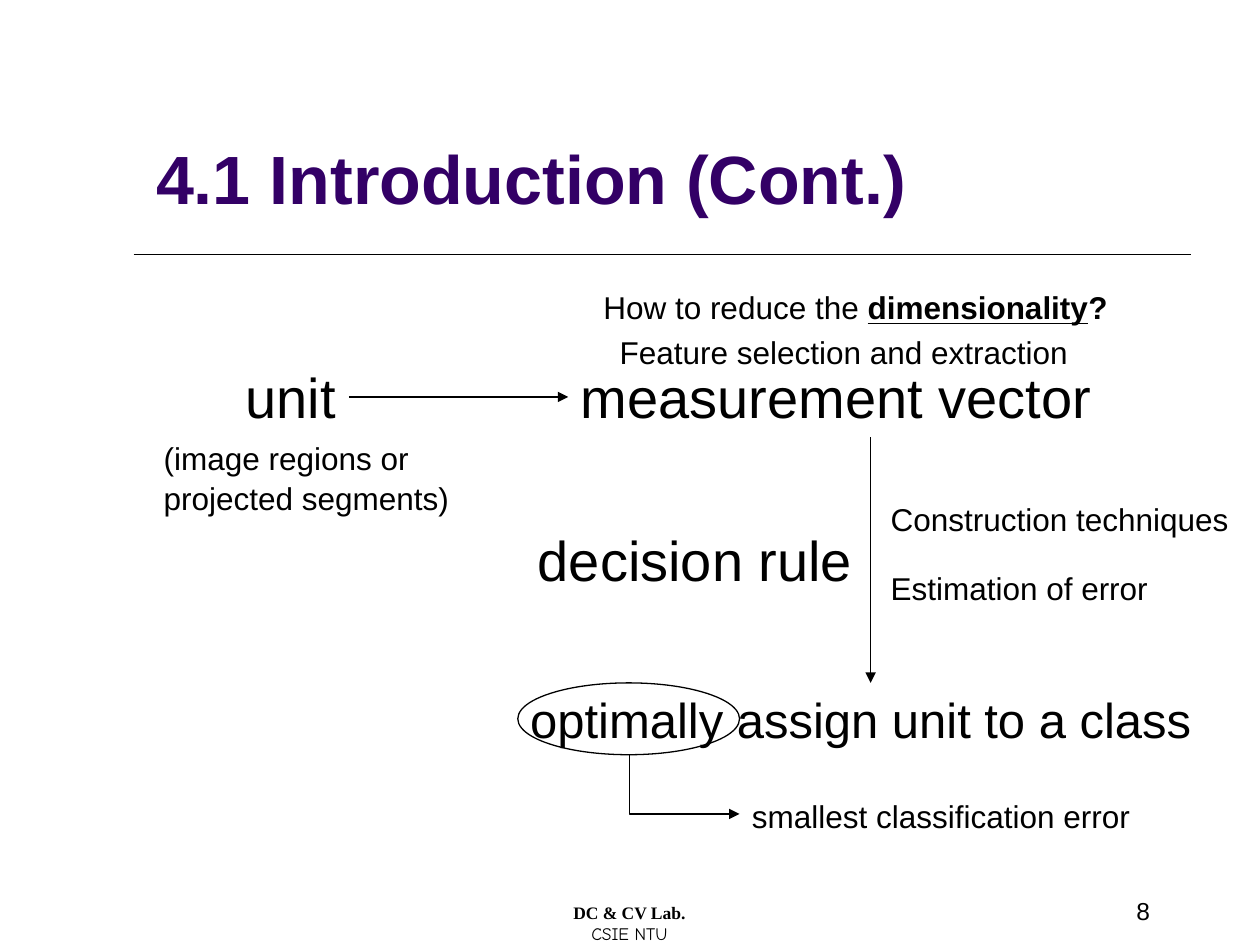
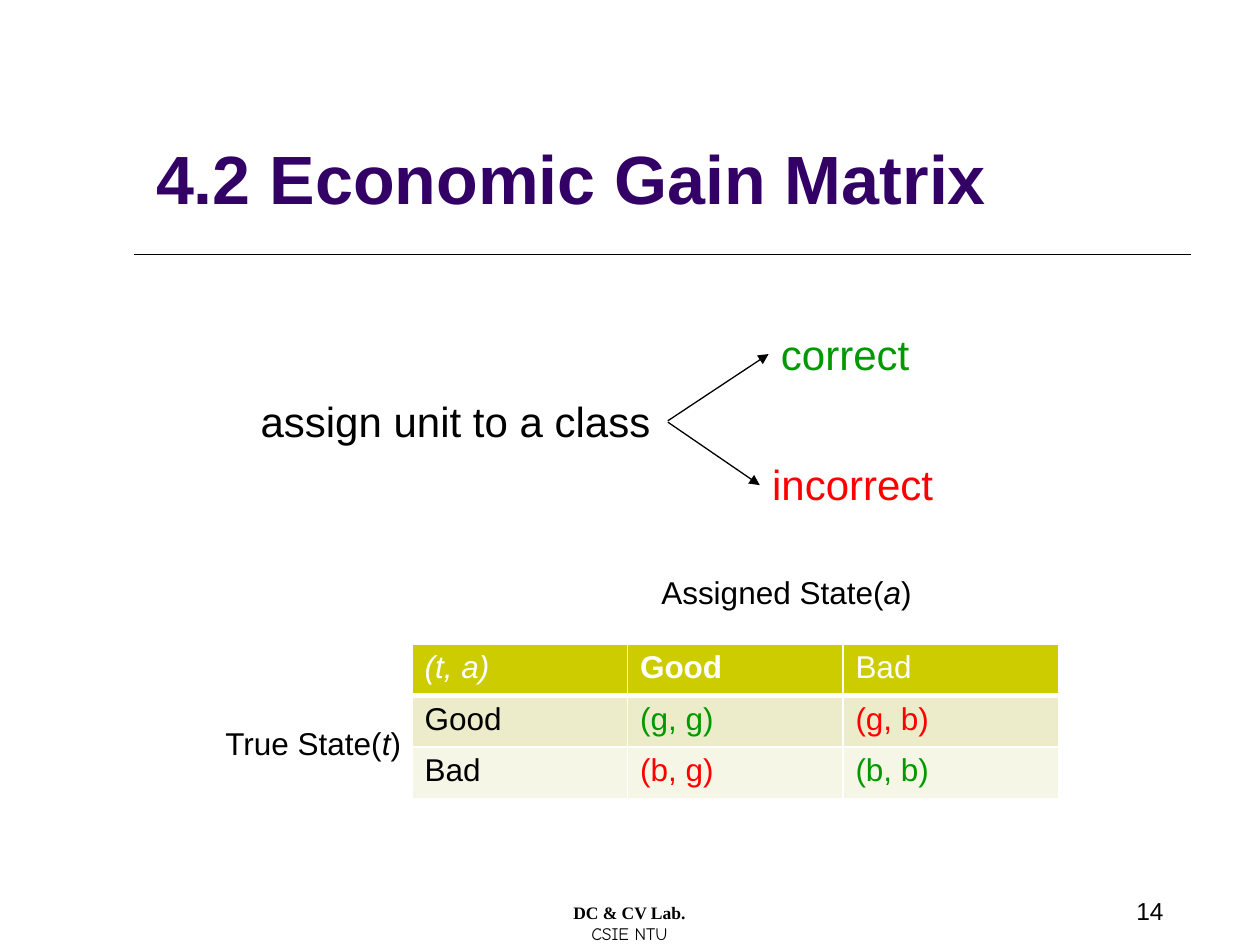
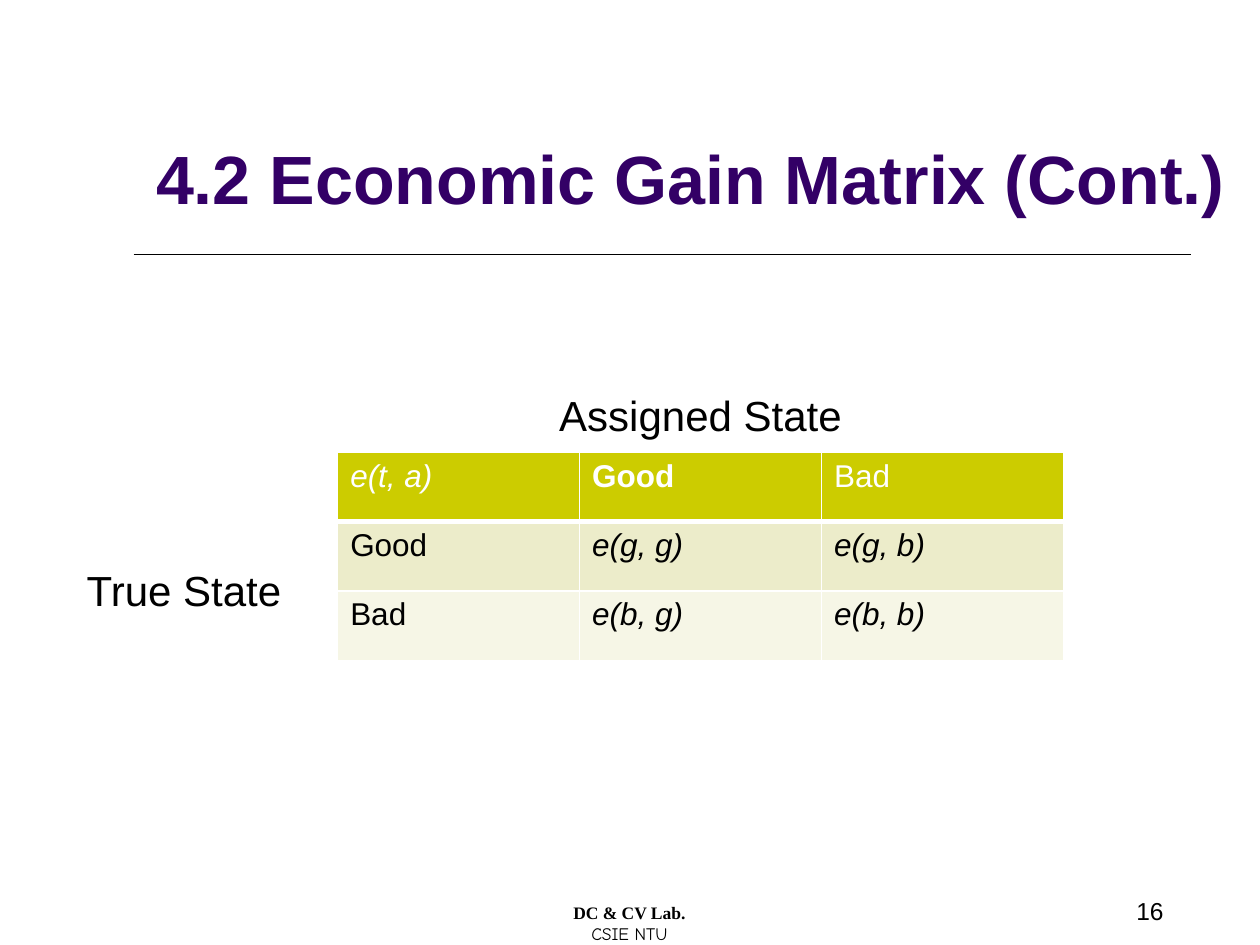
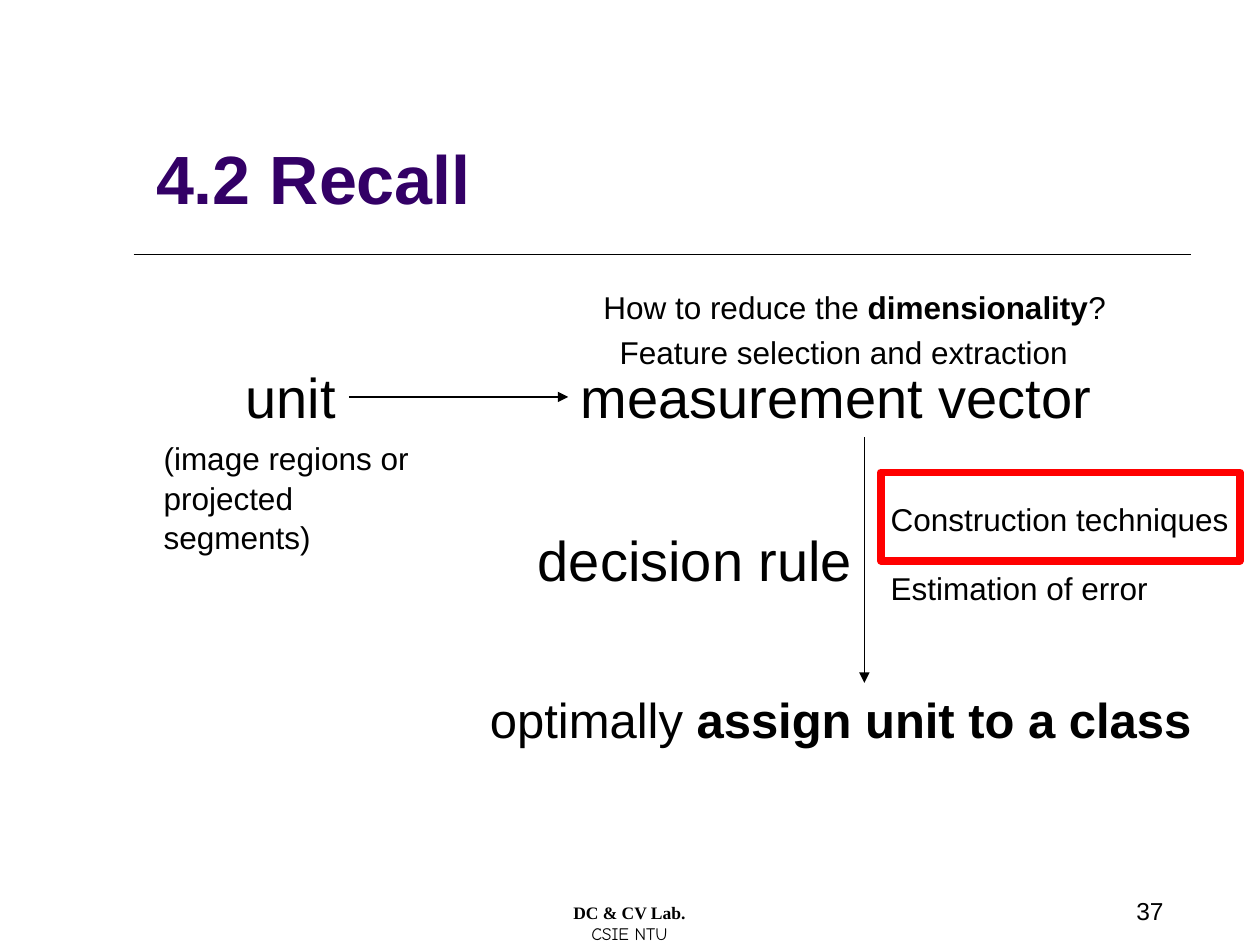
from lxml import etree
from pptx import Presentation
from pptx.dml.color import RGBColor
from pptx.enum.shapes import MSO_CONNECTOR, MSO_SHAPE
from pptx.enum.text import MSO_ANCHOR, MSO_AUTO_SIZE, PP_ALIGN
from pptx.oxml.ns import qn
from pptx.util import Inches, Pt

STRAIGHT, ELBOW = MSO_CONNECTOR.STRAIGHT, MSO_CONNECTOR.ELBOW
OVAL, RECTANGLE = MSO_SHAPE.OVAL, MSO_SHAPE.RECTANGLE
BOTTOM, CENTER = MSO_ANCHOR.BOTTOM, PP_ALIGN.CENTER
FIT = MSO_AUTO_SIZE.SHAPE_TO_FIT_TEXT

COLORS = {
    "text": "000000",
    "title": "330066",
    "right": "009900",
    "wrong": "FF0000",
    "white": "FFFFFF",
    "header": "CCCC00",
    "row_good": "ECECCA",
    "row_bad": "F6F6E6",
}
FONT = "Arial"
STATES = ("Good", "Bad")


def rgb(name):
    return RGBColor.from_string(COLORS[name])


def add_run(p, text, size, color="text", font=FONT, bold=False, italic=False,
            underline=False):
    r = p.add_run()
    r.text = text
    r.font.size = Pt(size)
    r.font.name = font
    r.font.color.rgb = rgb(color)
    r.font.bold = bold
    r.font.italic = italic
    if underline:
        r.font.underline = True


def add_text(s, box, paragraphs, size, color="text", align=None, fit=True):
    """Each paragraph is a string or a list of (text, run options) pairs."""
    tf = s.shapes.add_textbox(*map(Inches, box)).text_frame
    tf.word_wrap = True
    if fit:
        tf.auto_size = FIT
    for i, runs in enumerate(paragraphs):
        p = tf.add_paragraph() if i else tf.paragraphs[0]
        p.alignment = align
        if isinstance(runs, str):
            runs = [(runs, {})]
        for text, options in runs:
            add_run(p, text, size, **{"color": color, **options})
    return tf


def add_line(s, start, end, kind=STRAIGHT, arrow=True):
    line = s.shapes.add_connector(kind, *map(Inches, (*start, *end)))
    line.line.color.rgb = rgb("text")
    line.line.width = Pt(0.75)
    if arrow:
        etree.SubElement(line.line._get_or_add_ln(), qn("a:tailEnd"), type="triangle")
    etree.SubElement(line._element.spPr, qn("a:effectLst"))
    return line


def add_outline(s, shape_type, box, color, width):
    shape = s.shapes.add_shape(shape_type, *map(Inches, box))
    shape.shadow.inherit = False
    shape.fill.background()
    shape.line.color.rgb = rgb(color)
    shape.line.width = Pt(width)


def set_borders(cell, top, bottom):
    tcPr = cell._tc.get_or_add_tcPr()
    for side, width in (("L", 1), ("R", 1), ("T", top), ("B", bottom)):
        ln = etree.SubElement(tcPr, qn(f"a:ln{side}"), w=str(Pt(width)))
        fill = etree.SubElement(ln, qn("a:solidFill"))
        etree.SubElement(fill, qn("a:srgbClr"), val=COLORS["white"])


def fill_cell(cell, text, row, **options):
    set_borders(cell, top=3 if row == 1 else 1, bottom=3 if row == 0 else 1)
    cell.fill.solid()
    cell.fill.fore_color.rgb = rgb(("header", "row_good", "row_bad")[row])
    add_run(cell.text_frame.paragraphs[0], text, 18, **options)


def add_state_table(s, left, top, col_width, row_height, prefix="", colored=False):
    """Matrix of true states (rows) against assigned states (columns)."""
    n = len(STATES) + 1
    table = s.shapes.add_table(n, n, Inches(left), Inches(top), Inches(n * col_width),
                               Inches(n * row_height)).table
    for i in range(n):
        table.columns[i].width = Inches(col_width)
        table.rows[i].height = Inches(row_height)
    fill_cell(table.cell(0, 0), f"{prefix}(t, a)", 0, color="white", italic=True)
    for i, true in enumerate(STATES, 1):
        fill_cell(table.cell(0, i), true, 0, color="white", bold=i == 1)
        fill_cell(table.cell(i, 0), true, i)
        for j, assigned in enumerate(STATES, 1):
            color = "text"
            if colored:
                color = "right" if i == j else "wrong"
            pair = f"{prefix}({true[0].lower()}, {assigned[0].lower()})"
            fill_cell(table.cell(i, j), pair, i, color=color, italic=not colored)


def add_base_slide(prs, title, number):
    s = prs.slides.add_slide(prs.slide_layouts[6])
    add_line(s, (1.06, 2.02), (9.45, 2.02), arrow=False)
    tf = add_text(s, (1.14, 0.36, 8.86, 1.42), [[(title, {"bold": True})]], 39, "title",
                  fit=False)
    tf.vertical_anchor = BOTTOM
    add_text(s, (3.41, 7.11, 3.17, 0.5),
             [[("DC & CV Lab.", {"font": "Times New Roman", "bold": True})],
              [("CSIE NTU", {"font": "Comic Neue"})]], 10, align=CENTER, fit=False)
    add_text(s, (8.92, 7.06, 1.08, 0.4), [str(number)], 14, fit=False)
    return s


def add_decision_flow(s, arrow_x, unit_note_width, term_style, mark_style):
    """The path from unit to decision rule that two slides share."""
    add_text(s, (1.85, 2.83, 0.92, 0.64), ["unit"], 32)
    add_text(s, (4.51, 2.83, 4.8, 0.64), ["measurement vector"], 32)
    add_text(s, (4.17, 4.12, 2.79, 0.64), ["decision rule"], 32)
    add_line(s, (arrow_x, 3.47), (arrow_x, 5.42))
    add_line(s, (2.77, 3.15), (4.51, 3.15))
    note = add_text(s, (1.2, 3.42, unit_note_width, 0.71),
                    ["(image regions or", "projected segments)"], 18)
    for p in note.paragraphs:
        p.line_spacing = 1.05
    add_text(s, (4.69, 2.24, 4.24, 0.4),
             [[("How to reduce the ", {}), ("dimensionality", term_style),
               ("?", mark_style)]], 18)
    add_text(s, (4.82, 2.59, 3.79, 0.4), ["Feature selection and extraction"], 18)
    add_text(s, (6.97, 3.92, 2.91, 0.4), ["Construction techniques"], 18)
    add_text(s, (6.97, 4.47, 2.26, 0.4), ["Estimation of error"], 18)


def build_introduction(prs):
    s = add_base_slide(prs, "4.1 Introduction (Cont.)", 8)
    add_decision_flow(s, 6.91, 2.91, {"bold": True, "underline": True}, {"bold": True})
    add_text(s, (4.11, 5.42, 5.6, 0.57), ["optimally assign unit to a class"], 28)
    add_outline(s, OVAL, (4.11, 5.42, 1.76, 0.57), "text", 0.75)
    elbow = add_line(s, (5.07, 5.99), (5.87, 6.46), ELBOW)
    guides = elbow._element.spPr.find(qn("a:prstGeom")).get_or_add_avLst()
    etree.SubElement(guides, qn("a:gd"), name="adj1", fmla="val -9500")
    add_text(s, (5.87, 6.28, 3.27, 0.4), ["smallest classification error"], 18)


def build_gain_matrix(prs):
    s = add_base_slide(prs, "4.2 Economic Gain Matrix", 14)
    add_text(s, (1.97, 3.09, 3.33, 0.51), ["assign unit to a class"], 24)
    add_text(s, (6.1, 2.56, 1.23, 0.51), ["correct"], 24, "right")
    add_text(s, (6.03, 3.59, 1.49, 0.51), ["incorrect"], 24, "wrong")
    add_line(s, (5.3, 3.34), (6.1, 2.81))
    add_line(s, (5.3, 3.35), (6.03, 3.85))
    add_state_table(s, 3.27, 5.11, 1.71, 0.41, colored=True)
    for box, label, symbol in (((1.69, 5.7, 1.61, 0.4), "True State(", "t"),
                               ((5.15, 4.5, 2.21, 0.4), "Assigned State(", "a")):
        add_text(s, box, [[(label, {}), (symbol, {"italic": True}), (")", {})]], 18)


def build_gain_matrix_continued(prs):
    s = add_base_slide(prs, "4.2 Economic Gain Matrix (Cont.)", 16)
    add_state_table(s, 2.68, 3.59, 1.92, 0.55, prefix="e")
    add_text(s, (0.59, 4.43, 1.76, 0.5), ["True State"], 24)
    add_text(s, (4.34, 3.04, 2.47, 0.5), ["Assigned State"], 24)


def build_recall(prs):
    s = add_base_slide(prs, "4.2 Recall", 37)
    add_decision_flow(s, 6.86, 2.44, {"bold": True}, {})
    add_text(s, (3.79, 5.42, 5.84, 0.57),
             [[("optimally ", {}), ("assign unit to a class", {"bold": True})]], 28)
    add_outline(s, RECTANGLE, (6.99, 3.75, 2.85, 0.7), "wrong", 4.5)


def main():
    prs = Presentation()
    prs.slide_width, prs.slide_height = Inches(10), Inches(7.5)
    build_introduction(prs)
    build_gain_matrix(prs)
    build_gain_matrix_continued(prs)
    build_recall(prs)
    prs.save("out.pptx")


if __name__ == "__main__":
    main()
